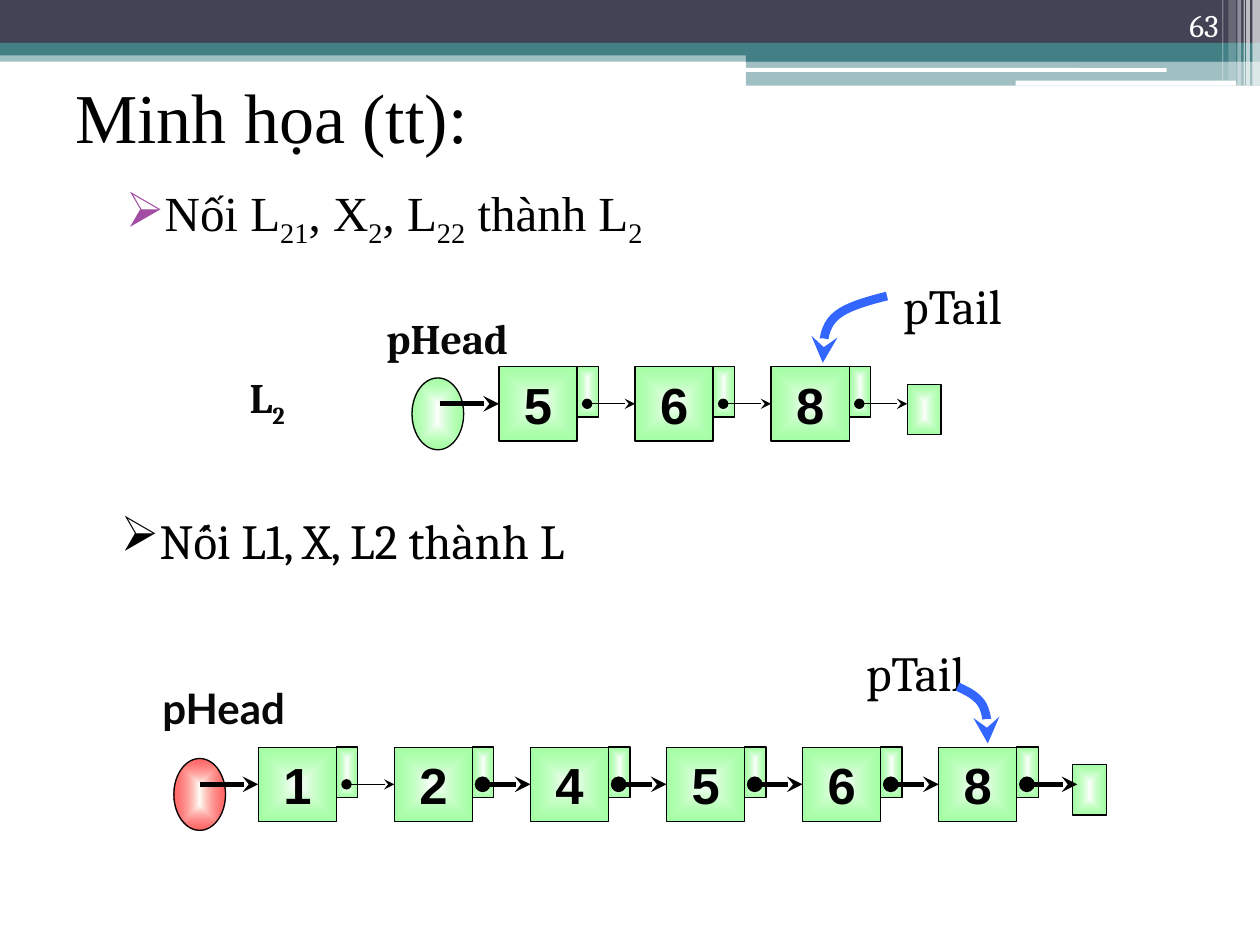
from pptx import Presentation, util as u
from pptx.dml.color import RGBColor
from pptx.enum import shapes as es, text as et
from pptx.oxml import parse_xml
from pptx.oxml.ns import qn
from pptx.oxml.xmlchemy import OxmlElement

Inches, Pt = u.Inches, u.Pt
RECT, OVAL, ROUND = (es.MSO_SHAPE.RECTANGLE, es.MSO_SHAPE.OVAL,
                     es.MSO_SHAPE.ROUNDED_RECTANGLE)
LEFT, CENTER, RIGHT, JUSTIFY = (et.PP_ALIGN.LEFT, et.PP_ALIGN.CENTER,
                                et.PP_ALIGN.RIGHT, et.PP_ALIGN.JUSTIFY)
TOP, MIDDLE, BOTTOM = (et.MSO_ANCHOR.TOP, et.MSO_ANCHOR.MIDDLE,
                       et.MSO_ANCHOR.BOTTOM)
BLACK, INK, WHITE, NAVY, TEAL = "000000", "080808", "FFFFFF", "424456", "438086"
GREEN, RED, BLUE = (WHITE, "69FF69"), ("FFFFF7", "FF0000"), "3366FF"
PITCH, NODE_W, NODE_H, LINK_W, LINK_H = 1.08, 0.62, 0.59, 0.17, 0.4


def color(hex_value):
    return RGBColor.from_string(hex_value)


def add_child(parent, tag, **attributes):
    child = OxmlElement(tag)
    for key, value in attributes.items():
        child.set(key, str(value))
    parent.append(child)
    return child


def block(shapes, kind, box, fill, opacity=100):
    """Unlined preset shape with a plain fill."""
    part = shapes.add_shape(kind, *map(Inches, box))
    part.shadow.inherit = False
    part.fill.solid()
    part.fill.fore_color.rgb = color(fill)
    part.line.fill.background()
    if opacity < 100:
        srgb = part.fill._xPr.find(qn("a:solidFill"))[0]
        add_child(srgb, "a:alpha", val=opacity * 1000)
    return part


def cell(shapes, kind, box, glow):
    """Outlined shape with a glow from its centre."""
    center, edge = glow
    part = block(shapes, kind, box, edge)
    properties = part.fill._xPr
    properties.replace(properties.find(qn("a:solidFill")), parse_xml(
        '<a:gradFill xmlns:a="http://schemas.openxmlformats.org/drawingml/2006/main"'
        f' rotWithShape="1"><a:gsLst><a:gs pos="0"><a:srgbClr val="{center}"/></a:gs>'
        f'<a:gs pos="100000"><a:srgbClr val="{edge}"><a:alpha val="60000"/></a:srgbClr>'
        '</a:gs></a:gsLst><a:path path="shape"><a:fillToRect l="50000" t="50000"'
        ' r="50000" b="50000"/></a:path></a:gradFill>'))
    style_line(part, BLACK, 0.75)
    return part


def style_line(part, hex_value, width, head=None, tail=None):
    part.line.color.rgb = color(hex_value)
    part.line.width = Pt(width)
    for tag, end in (("a:headEnd", head), ("a:tailEnd", tail)):
        if end:
            add_child(part.line._get_or_add_ln(), tag, type=end)


def write(frame, pieces, size, font, hex_value, bold=False, align=LEFT,
          anchor=TOP, inset=None):
    """One paragraph; every second piece is a subscript."""
    frame.word_wrap = True
    frame.vertical_anchor = anchor
    if inset is not None:
        for side in ("left", "top", "right", "bottom"):
            setattr(frame, f"margin_{side}", Inches(inset))
    paragraph = frame.paragraphs[0]
    paragraph.alignment = align
    for index, piece in enumerate(pieces):
        run = paragraph.add_run()
        run.text = piece
        values = {"size": Pt(size), "name": font, "bold": bold}
        for key, value in values.items():
            setattr(run.font, key, value)
        run.font.color.rgb = color(hex_value)
        if index % 2:
            run.font._rPr.set("baseline", "-25000")
    return paragraph


def label(shapes, box, pieces, size, font, hex_value, **options):
    frame = shapes.add_textbox(*map(Inches, box)).text_frame
    return write(frame, pieces, size, font, hex_value, **options)


def bullet(paragraph, hex_value, margin=0.0, indent=0.0):
    properties = paragraph._p.get_or_add_pPr()
    properties.set("marL", str(Inches(margin)))
    properties.set("indent", str(Inches(indent)))
    add_child(add_child(properties, "a:buClr"), "a:srgbClr", val=hex_value)
    add_child(properties, "a:buChar", char="➢")


def arrow(shapes, start, end, y, width, head=None, target=None):
    link = shapes.add_connector(es.MSO_CONNECTOR.STRAIGHT,
                                *map(Inches, (start, y, end, y)))
    if target is not None:
        link.end_connect(target, 1)
    style_line(link, BLACK, width, head, "stealth")
    add_child(link._element.spPr, "a:effectLst")


def tail_pointer(shapes, box, direction):
    """Curved arrow from the label down to the last node."""
    left, top, width, height = box
    start = left if direction > 0 else left + width
    curves = [((0, 0), (0.33, 0.08), (0.67, 0.17), (0.83, 0.33)),
              ((0.83, 0.33), (1, 0.5), (1, 0.75), (1, 1))]
    points = []
    for a, b, c, d in curves:
        for t in (step / 10 for step in range(11)):
            x, y = ((1 - t) ** 3 * a[i] + 3 * t * (1 - t) ** 2 * b[i]
                    + 3 * t * t * (1 - t) * c[i] + t ** 3 * d[i] for i in (0, 1))
            points.append((Inches(start + direction * width * x),
                           Inches(top + height * y)))
    builder = shapes.build_freeform(*points[0])
    builder.add_line_segments(points[1:], close=False)
    curve = builder.convert_to_shape()
    curve.shadow.inherit = False
    curve.fill.background()
    style_line(curve, BLUE, 5, tail="stealth")


def linked_list(shapes, left, top, values, widths, head_box, head_glow,
                head_start, null_left, last_end):
    """Head oval, value nodes with link cells, arrows and the closing cell."""
    mid = top + NODE_H / 2
    cell(shapes, OVAL, head_box, head_glow)
    cell(shapes, RECT, (null_left, top + 0.14, 0.27, LINK_H), GREEN)
    lefts = [left + PITCH * i for i in range(len(values))]
    nodes = []
    for x, value in zip(lefts, values):
        cell(shapes, RECT, (x + NODE_W, top, LINK_W, LINK_H), GREEN)
        node = cell(shapes, RECT, (x, top, NODE_W, NODE_H), GREEN)
        write(node.text_frame, [value], 29, "Arial", BLACK, bold=True,
              align=CENTER, anchor=MIDDLE)
        nodes.append(node)
    arrow(shapes, head_start, left, mid, 3, target=nodes[0])
    ends = lefts[1:] + [last_end]
    for x, end, width, target in zip(lefts, ends, widths, nodes[1:] + [None]):
        arrow(shapes, x + 0.7, end, mid, width, "oval", target)


def banner(shapes):
    # Bands, then white rules, then the vertical stripes at the right
    for kind, box, fill, opacity in (
            (RECT, (0, 0.4, 10, 0.09), TEAL, 50),
            (RECT, (0, 0, 10, 0.34), NAVY, 100),
            (RECT, (0, 0.34, 10, 0.1), TEAL, 100),
            (RECT, (5.92, 0.39, 4.08, 0.1), TEAL, 100),
            (RECT, (5.92, 0.48, 4.08, 0.2), TEAL, 50),
            (ROUND, (5.91, 0.54, 3.35, 0.03), WHITE, 100),
            (ROUND, (8.06, 0.64, 1.75, 0.04), WHITE, 100)):
        block(shapes, kind, box, fill, opacity)
    for x, width, height, opacity in (
            (9.94, 0.06, 0.68, 65), (9.89, 0.03, 0.68, 65), (9.87, 0.01, 0.68, 60),
            (9.82, 0.03, 0.68, 40), (9.75, 0.06, 0.64, 20), (9.7, 0.01, 0.64, 30)):
        block(shapes, RECT, (x, 0, width, height), WHITE, opacity)


def headings(shapes):
    label(shapes, (0.5, 0.33, 9, 1.17), ["Minh họa (tt):"], 40,
          "Times New Roman", BLACK, anchor=MIDDLE)
    label(shapes, (8.94, 0, 0.83, 0.4), ["63"], 18, "Cambria", WHITE,
          align=RIGHT, anchor=BOTTOM)
    step = label(shapes, (0.78, 1.4, 9.22, 0.79),
                 ["Nối L", "21", ", X", "2", ", L", "22", " thành L", "2"],
                 28, "Times New Roman", BLACK, align=JUSTIFY)
    step.space_before = Pt(3)
    bullet(step, "A04DA3", 0.4, -0.28)
    bullet(label(shapes, (0.86, 4, 8.29, 0.57), ["Nối L1, X, L2 thành L"],
                 28, "Cambria", BLACK), BLACK)


def right_part(shapes):
    """List L2."""
    linked_list(shapes, 3.96, 2.91, "568", [0.75] * 3, (3.27, 3, 0.41, 0.57),
                GREEN, 3.49, 7.2, 7.2)
    centered = {"align": CENTER, "inset": 0}
    label(shapes, (2.89, 2.48, 1.32, 0.47), ["pHead"], 24, "Cambria", INK,
          bold=True, **centered)
    label(shapes, (1.44, 2.95, 1.36, 0.41), ["L", "2"], 24, "Cambria", INK,
          bold=True, **centered)
    label(shapes, (7.04, 2.19, 1.04, 0.42), ["pTail"], 28, "Cambria", BLACK,
          **centered)
    tail_pointer(shapes, (6.53, 2.35, 0.51, 0.53), -1)


def whole_list(shapes):
    """List L after joining."""
    linked_list(shapes, 2.05, 5.93, "124568", [0.75] + [3] * 5,
                (1.38, 6.02, 0.41, 0.57), RED, 1.59, 8.51, 8.55)
    centered = {"align": CENTER, "inset": 0}
    label(shapes, (1.23, 5.42, 1.09, 0.46), ["pHead"], 24, "Lato", INK,
          bold=True, **centered)
    label(shapes, (6.76, 5.1, 1.01, 0.35), ["pTail"], 28, "Cambria", BLACK,
          **centered)
    tail_pointer(shapes, (7.6, 5.45, 0.24, 0.45), 1)


def main():
    deck = Presentation()
    deck.slide_width, deck.slide_height = Inches(10), Inches(7.5)
    shapes = deck.slides.add_slide(deck.slide_layouts[6]).shapes
    banner(shapes)
    headings(shapes)
    for draw in (right_part, whole_list):
        draw(shapes.add_group_shape().shapes)
    deck.save("out.pptx")


if __name__ == "__main__":
    main()
